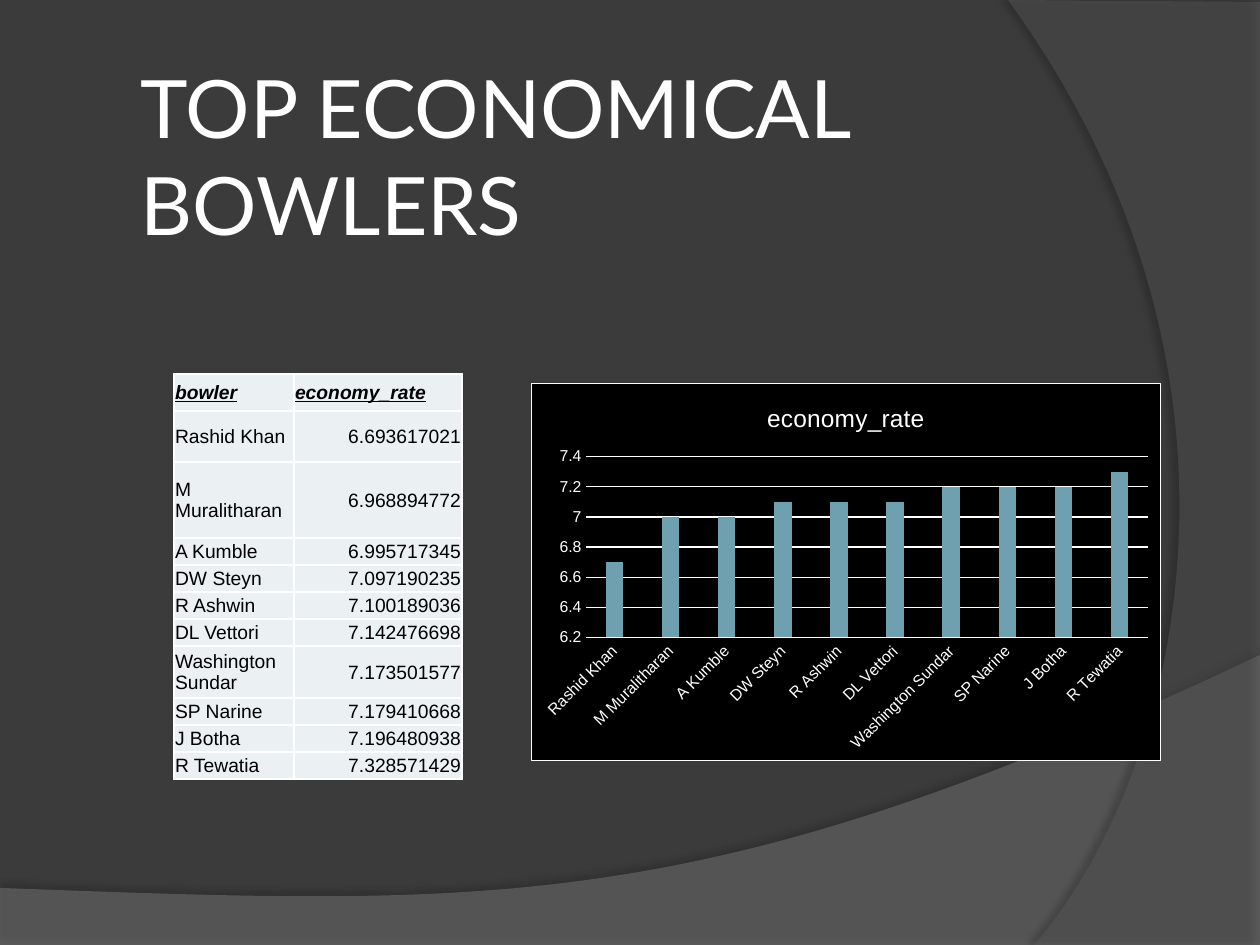
from pptx import Presentation
from pptx.chart.data import CategoryChartData as Data
from pptx.dml.color import RGBColor
from pptx.enum.chart import XL_CHART_TYPE as Kind, XL_TICK_MARK as Tick
from pptx.enum.text import MSO_ANCHOR as Anchor, PP_ALIGN as Align
from pptx.oxml import parse_xml as to_xml
from pptx.oxml.ns import nsdecls, qn
from pptx.util import Pt

SCALE = 914400 / 126
WHITE, BLACK = "FFFFFF", "000000"
BOWLERS = [
    ("Rashid Khan", 6.693617021, 51),
    ("M Muralitharan", 6.968894772, 76),
    ("A Kumble", 6.995717345, 27),
    ("DW Steyn", 7.097190235, 27),
    ("R Ashwin", 7.100189036, 27),
    ("DL Vettori", 7.142476698, 27),
    ("Washington Sundar", 7.173501577, 52),
    ("SP Narine", 7.179410668, 27),
    ("J Botha", 7.196480938, 27),
    ("R Tewatia", 7.328571429, 27),
]


def px(n):
    return round(n * SCALE)


def color(code):
    return RGBColor.from_string(code)


def solid(code, alpha=100):
    return (f'<a:solidFill {nsdecls("a")}><a:srgbClr val="{code}">'
            f'<a:alpha val="{alpha * 1000}"/></a:srgbClr></a:solidFill>')


def style(font, size, tint=WHITE, face="Arial", bold=False, italic=False, under=False):
    font.size, font.name = Pt(size), face
    font.bold, font.italic, font.underline = bold, italic, under
    font.color.rgb = color(tint)


def write(host, frame, text, size, inset, align=Align.LEFT, **look):
    host.vertical_anchor = Anchor.MIDDLE
    (host.margin_left, host.margin_top,
     host.margin_right, host.margin_bottom) = map(px, inset)
    para = frame.paragraphs[0]
    para.alignment = align
    run = para.add_run()
    run.text = text
    style(run.font, size, **look)


class Board:
    """Holds the style and the current slide, and draws each kind of element."""

    cell_fill = "EBF0F2"
    bar_fill = "6EA0B0"

    def __init__(self, deck, back):
        self.slide = deck.slides.add_slide(deck.slide_layouts[6])
        self.shapes = self.slide.shapes
        fill = self.slide.background.fill
        fill.solid()
        fill.fore_color.rgb = color(back)

    def wave(self, start, bends, ends, tint, alpha, shade, dist, angle):
        pen = self.shapes.build_freeform(*map(px, start))
        pen.add_line_segments([(px(x), px(y)) for x, y in ends], close=True)
        shape = pen.convert_to_shape()
        shape.line.fill.background()
        shape.shadow.inherit = False
        props = shape._element.spPr
        line = next(props.iter(qn("a:lnTo")))
        arc = to_xml(f'<a:cubicBezTo {nsdecls("a")}>' + "".join(
            f'<a:pt x="{px(x) - shape.left}" y="{px(y) - shape.top}"/>'
            for x, y in bends) + '</a:cubicBezTo>')
        arc.append(line[0])
        line.getparent().replace(line, arc)
        props.find(qn("a:custGeom")).addnext(to_xml(solid(tint, alpha)))
        props.find(qn("a:effectLst")).append(to_xml(
            f'<a:outerShdw {nsdecls("a")} blurRad="{Pt(4)}" dist="{Pt(dist)}" '
            f'dir="{angle * 60000}" algn="ctr" rotWithShape="0">'
            f'<a:srgbClr val="{BLACK}"><a:alpha val="{shade * 1000}"/>'
            f'</a:srgbClr></a:outerShdw>'))

    def title(self, text, *box):
        frame = self.shapes.add_textbox(*map(px, box)).text_frame
        frame.word_wrap = True
        write(frame, frame, text, 46, (6, 6, 6, 6), face="Lato")

    def cell(self, cell, text, **look):
        props = cell._tc.get_or_add_tcPr()
        for side in "LRTB":
            props.append(to_xml(f'<a:ln{side} {nsdecls("a")} w="{Pt(1)}">'
                                f'{solid(WHITE)}</a:ln{side}>'))
        cell.fill.solid()
        cell.fill.fore_color.rgb = color(self.cell_fill)
        write(cell, cell.text_frame, text, 11, (1, 1, 1, 0), tint=BLACK, **look)

    def table(self, heads, rows, x, y, widths, top):
        highs = [top] + [high for *_, high in rows]
        grid = self.shapes.add_table(len(highs), len(widths), px(x), px(y),
                                     px(sum(widths)), px(sum(highs))).table
        for col, wide in zip(grid.columns, widths):
            col.width = px(wide)
        for row, high in zip(grid.rows, highs):
            row.height = px(high)
        for i, head in enumerate(heads):
            self.cell(grid.cell(0, i), head, bold=True, italic=True, under=True)
        for i, (name, rate, _) in enumerate(rows, 1):
            self.cell(grid.cell(i, 0), name)
            self.cell(grid.cell(i, 1), str(rate), align=Align.RIGHT)

    def chart(self, name, rows, *box):
        data = Data()
        data.categories = [row[0] for row in rows]
        data.add_series(name, [round(row[1], 1) for row in rows])
        chart = self.shapes.add_chart(Kind.COLUMN_CLUSTERED, *map(px, box), data).chart
        style(chart.font, 10)
        chart.has_legend = False
        chart.has_title = True
        run = chart.chart_title.text_frame.paragraphs[0].add_run()
        run.text = name
        style(run.font, 14)
        chart.chart_title.include_in_layout = False

        plot = chart.plots[0]
        plot.gap_width, plot.overlap, plot.vary_by_categories = 219, -27, False
        fill = plot.series[0].format.fill
        fill.solid()
        fill.fore_color.rgb = color(self.bar_fill)

        cats, vals = chart.category_axis, chart.value_axis
        for axis in (cats, vals):
            axis.major_tick_mark = axis.minor_tick_mark = Tick.NONE
            style(axis.tick_labels.font, 9)
        vals.minimum_scale, vals.maximum_scale, vals.major_unit = 6.2, 7.4, 0.2
        vals.format.line.fill.background()
        for line in (cats.format.line, vals.major_gridlines.format.line):
            line.width = Pt(0.75)
            line.color.rgb = color(WHITE)
        turn = cats._element.find(qn("c:txPr")).find(qn("a:bodyPr"))
        turn.set("rot", str(-45 * 60000))
        chart._chartSpace.find(qn("c:chart")).addnext(to_xml(
            f'<c:spPr {nsdecls("c", "a")}>{solid(BLACK)}'
            f'<a:ln w="{Pt(0.75)}">{solid(WHITE)}</a:ln></c:spPr>'))


def main():
    deck = Presentation()
    deck.slide_width, deck.slide_height = px(1260), px(945)
    board = Board(deck, "3B3B3B")
    board.wave((1260, 655), [(704, 919), (493, 906)],
               [(0, 888), (0, 946), (1260, 946)], "7F7F7F", 45, 35, 3.5, 270)
    board.wave((1034, 945), [(1178, 780), (1283, 378)],
               [(1008, 0), (1260, 2), (1260, 945)], "5E5E5E", 40, 45, 4, 180)
    board.title("TOP ECONOMICAL BOWLERS", 135, 75, 1008, 159)
    board.table(("bowler", "economy_rate"), BOWLERS, 174, 374, (120, 168), 37)
    board.chart("economy_rate", BOWLERS, 531, 383, 630, 378)
    deck.save("out.pptx")


if __name__ == "__main__":
    main()
